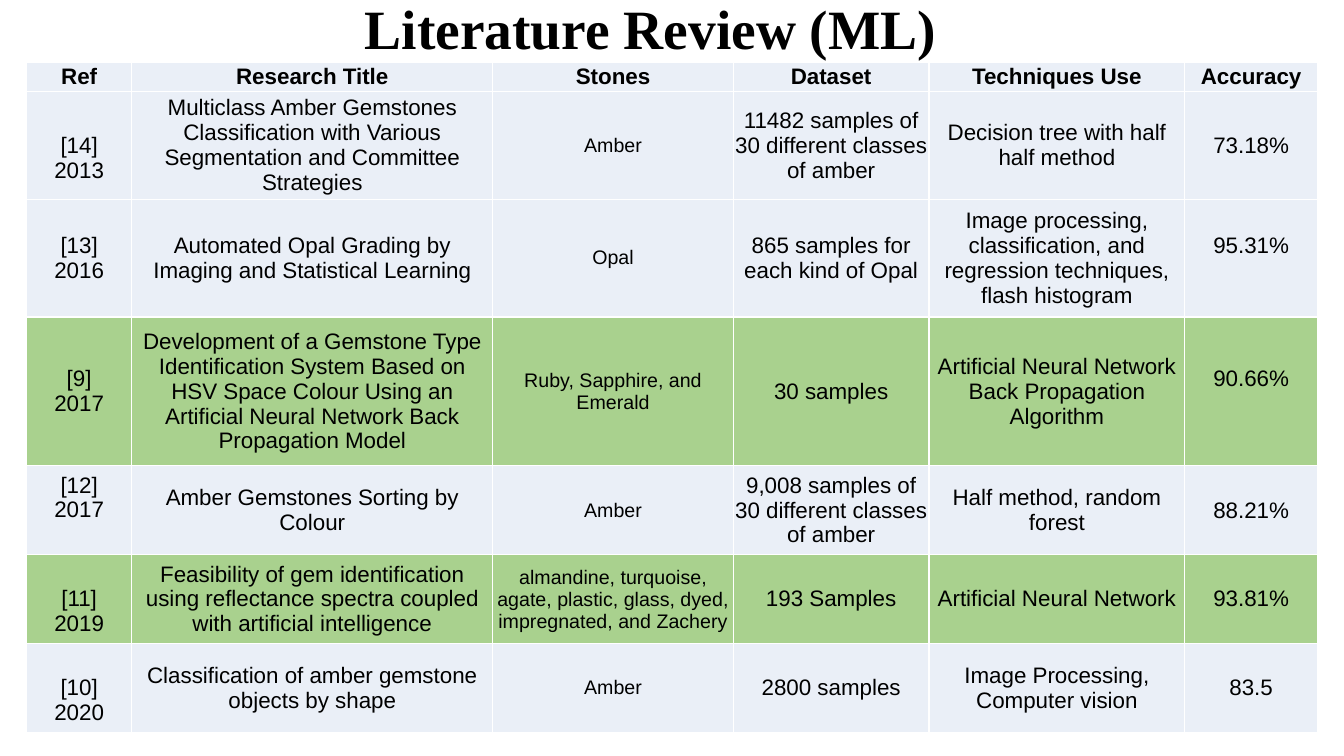
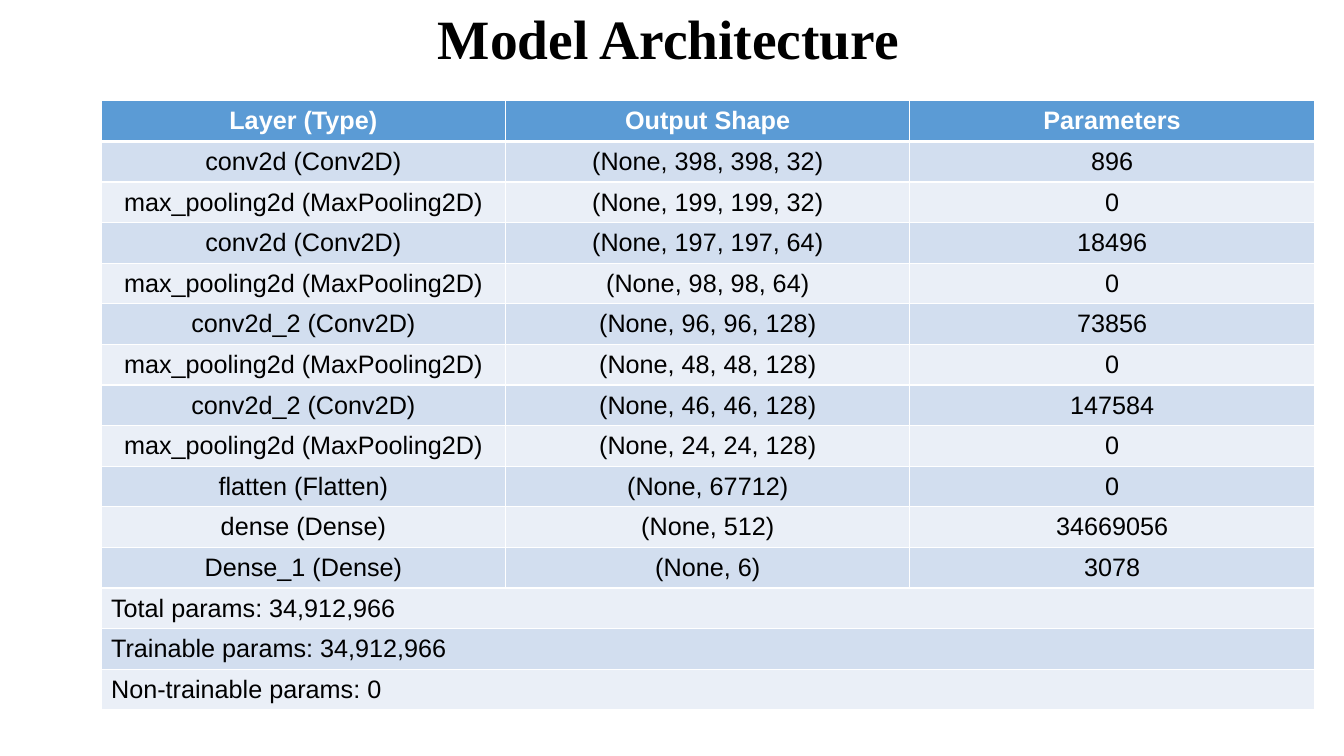
from dataclasses import dataclass

from lxml import etree
from pptx import Presentation
from pptx.dml.color import RGBColor
from pptx.enum.text import MSO_ANCHOR, PP_ALIGN
from pptx.oxml.ns import qn
from pptx.util import Cm, Pt

CENTER = PP_ALIGN.CENTER
LEFT = PP_ALIGN.LEFT
MIDDLE = MSO_ANCHOR.MIDDLE


@dataclass(frozen=True)
class Theme:
    title_font: str = "Times New Roman"
    body_font: str = "Arial"
    black: str = "000000"
    white: str = "FFFFFF"
    header_blue: str = "5B9BD5"
    band_blue: str = "D2DEEF"
    pale_blue: str = "EAEFF7"
    highlight_green: str = "A9D18E"
    title_size: float = 39.6
    layer_size: float = 18
    review_size: float = 16
    stone_size: float = 14


THEME = Theme()

# Literature review content
REVIEW_HEADER = ("Ref", "Research Title", "Stones", "Dataset", "Techniques Use", "Accuracy")
REVIEW_ROWS = [
    ("[14]\n2013",
     "Multiclass Amber Gemstones Classification with Various Segmentation and Committee Strategies",
     "Amber", "11482 samples of 30 different classes of amber",
     "Decision tree with half half method", "73.18%"),
    ("[13]\n2016", "Automated Opal Grading by Imaging and Statistical Learning",
     "Opal", "865 samples for each kind of Opal",
     "Image processing, classification, and regression techniques, flash histogram", "95.31%"),
    ("[9]\n2017",
     "Development of a Gemstone Type Identification System Based on HSV Space Colour "
     "Using an Artificial Neural Network Back Propagation Model",
     "Ruby, Sapphire, and Emerald", "30 samples",
     "Artificial Neural Network Back Propagation Algorithm", "90.66%"),
    ("[12]\n2017", "Amber Gemstones Sorting by Colour",
     "Amber", "9,008 samples of 30 different classes of amber",
     "Half method, random forest", "88.21%"),
    ("[11]\n2019",
     "Feasibility of gem identification using reflectance spectra coupled with "
     "artificial intelligence",
     "almandine, turquoise, agate, plastic, glass, dyed, impregnated, and Zachery",
     "193 Samples", "Artificial Neural Network", "93.81%"),
    ("[10]\n2020", "Classification of amber gemstone objects by shape",
     "Amber", "2800 samples", "Image Processing, Computer vision", "83.5"),
]
REVIEW_WIDTHS = (2.65, 9.1, 6.06, 4.93, 6.45, 3.34)
REVIEW_HEIGHTS = (0.75, 2.52, 2.97, 3.75, 2.24, 2.24, 2.24)
STONES_COLUMN = 2
TIGHT_COLUMNS = (2, 3)
NEURAL_NETWORK_ROWS = (3, 5)
LOWERED_CELLS = {(1, 0), (5, 0), (6, 0)}
RAISED_CELLS = {(4, 0), (2, 5), (3, 5)}
LINE_SHIFT = 0.63

# Model architecture content
POOLING = "max_pooling2d (MaxPooling2D)"
LAYER_ROWS = [
    ("Layer (Type)", "Output Shape", "Parameters"),
    ("conv2d (Conv2D)", "(None, 398, 398, 32)", "896"),
    (POOLING, "(None, 199, 199, 32)", "0"),
    ("conv2d (Conv2D)", "(None, 197, 197, 64)", "18496"),
    (POOLING, "(None, 98, 98, 64)", "0"),
    ("conv2d_2 (Conv2D)", "(None, 96, 96, 128)", "73856"),
    (POOLING, "(None, 48, 48, 128)", "0"),
    ("conv2d_2 (Conv2D)", "(None, 46, 46, 128)", "147584"),
    (POOLING, "(None, 24, 24, 128)", "0"),
    ("flatten (Flatten)", "(None, 67712)", "0"),
    ("dense (Dense)", "(None, 512)", "34669056"),
    ("Dense_1 (Dense)", "(None, 6)", "3078"),
    ("Total params: 34,912,966",),
    ("Trainable params: 34,912,966",),
    ("Non-trainable params: 0",),
]
LAYER_WIDTHS = (10.19,) * 3
LAYER_HEIGHT = 0.97


def write_text(frame, text, *, font, size, color=THEME.black, bold=False,
               align=CENTER, line_spacing=None):
    """Fill a text frame, one paragraph for each line of text."""
    frame.word_wrap = True
    for index, line in enumerate(text.split("\n")):
        paragraph = frame.add_paragraph() if index else frame.paragraphs[0]
        paragraph.alignment = align
        if line_spacing:
            paragraph.line_spacing = line_spacing
        run = paragraph.add_run()
        run.text = line
        run.font.name = font
        run.font.size = Pt(size)
        run.font.bold = bold
        run.font.color.rgb = RGBColor.from_string(color)


class Deck:
    """Holds the theme, the presentation and the current slide."""

    def __init__(self, theme):
        self.theme = theme
        self.presentation = Presentation()
        self.presentation.slide_width = Cm(33.87)
        self.presentation.slide_height = Cm(19.05)
        self.slide = None

    def add_slide(self):
        self.slide = self.presentation.slides.add_slide(self.presentation.slide_layouts[6])

    def title(self, text, left, top, width, height):
        shape = self.slide.shapes.add_textbox(Cm(left), Cm(top), Cm(width), Cm(height))
        shape.text_frame.vertical_anchor = MIDDLE
        write_text(shape.text_frame, text, font=self.theme.title_font,
                   size=self.theme.title_size, bold=True, line_spacing=0.9)

    def table(self, left, top, widths, heights):
        shape = self.slide.shapes.add_table(len(heights), len(widths), Cm(left), Cm(top),
                                            Cm(sum(widths)), Cm(sum(heights)))
        table = shape.table
        table.first_row = table.horz_banding = False
        for column, width in zip(table.columns, widths):
            column.width = Cm(width)
        for row, height in zip(table.rows, heights):
            row.height = Cm(height)
        return table

    def cell(self, cell, text, fill, *, margins, borders=None, **text_format):
        cell.vertical_anchor = MIDDLE
        (cell.margin_left, cell.margin_top,
         cell.margin_right, cell.margin_bottom) = map(Cm, margins)
        cell.fill.solid()
        cell.fill.fore_color.rgb = RGBColor.from_string(fill)
        self.borders(cell, borders or {})
        write_text(cell.text_frame, text, font=self.theme.body_font, **text_format)

    def borders(self, cell, widths):
        """Draw white cell borders, 1 pt unless a side has its own width."""
        properties = cell._tc.get_or_add_tcPr()
        for index, side in enumerate("LRTB"):
            line = etree.Element(qn(f"a:ln{side}"), w=str(Pt(widths.get(side, 1))))
            fill = etree.SubElement(line, qn("a:solidFill"))
            etree.SubElement(fill, qn("a:srgbClr"), val=self.theme.white)
            properties.insert(index, line)


def literature_review(deck):
    theme = deck.theme
    deck.add_slide()
    deck.title("Literature Review (ML)", 1.8, 0, 29.2, 1.57)
    table = deck.table(0.67, 1.56, REVIEW_WIDTHS, REVIEW_HEIGHTS)
    for row, values in enumerate([REVIEW_HEADER] + REVIEW_ROWS):
        fill = theme.highlight_green if row in NEURAL_NETWORK_ROWS else theme.pale_blue
        for column, text in enumerate(values):
            # Some references and accuracies sit half a line off the middle
            side = 0 if column in TIGHT_COLUMNS else 0.05
            top = LINE_SHIFT if (row, column) in LOWERED_CELLS else 0
            bottom = LINE_SHIFT if (row, column) in RAISED_CELLS else 0
            is_stone = row > 0 and column == STONES_COLUMN
            deck.cell(table.cell(row, column), text, fill,
                      margins=(side, top, side, bottom), bold=row == 0,
                      size=theme.stone_size if is_stone else theme.review_size)


def model_architecture(deck):
    theme = deck.theme
    deck.add_slide()
    deck.title("Model Architecture", 2.4, 0.2, 28.9, 1.68)
    table = deck.table(2.55, 2.54, LAYER_WIDTHS, (LAYER_HEIGHT,) * len(LAYER_ROWS))
    for row, values in enumerate(LAYER_ROWS):
        is_header = row == 0
        is_total = len(values) == 1
        if is_total:
            table.cell(row, 0).merge(table.cell(row, len(LAYER_WIDTHS) - 1))
        fill = theme.band_blue if row % 2 else theme.pale_blue
        # A thick line parts the header from the layers
        borders = {0: {"B": 3}, 1: {"T": 3}}.get(row)
        for column, text in enumerate(values):
            deck.cell(table.cell(row, column), text,
                      theme.header_blue if is_header else fill,
                      margins=(0.25, 0.13, 0.25, 0.13), borders=borders,
                      size=theme.layer_size, bold=is_header,
                      color=theme.white if is_header else theme.black,
                      align=LEFT if is_total else CENTER)


def main():
    deck = Deck(THEME)
    literature_review(deck)
    model_architecture(deck)
    deck.presentation.save("out.pptx")


if __name__ == "__main__":
    main()
